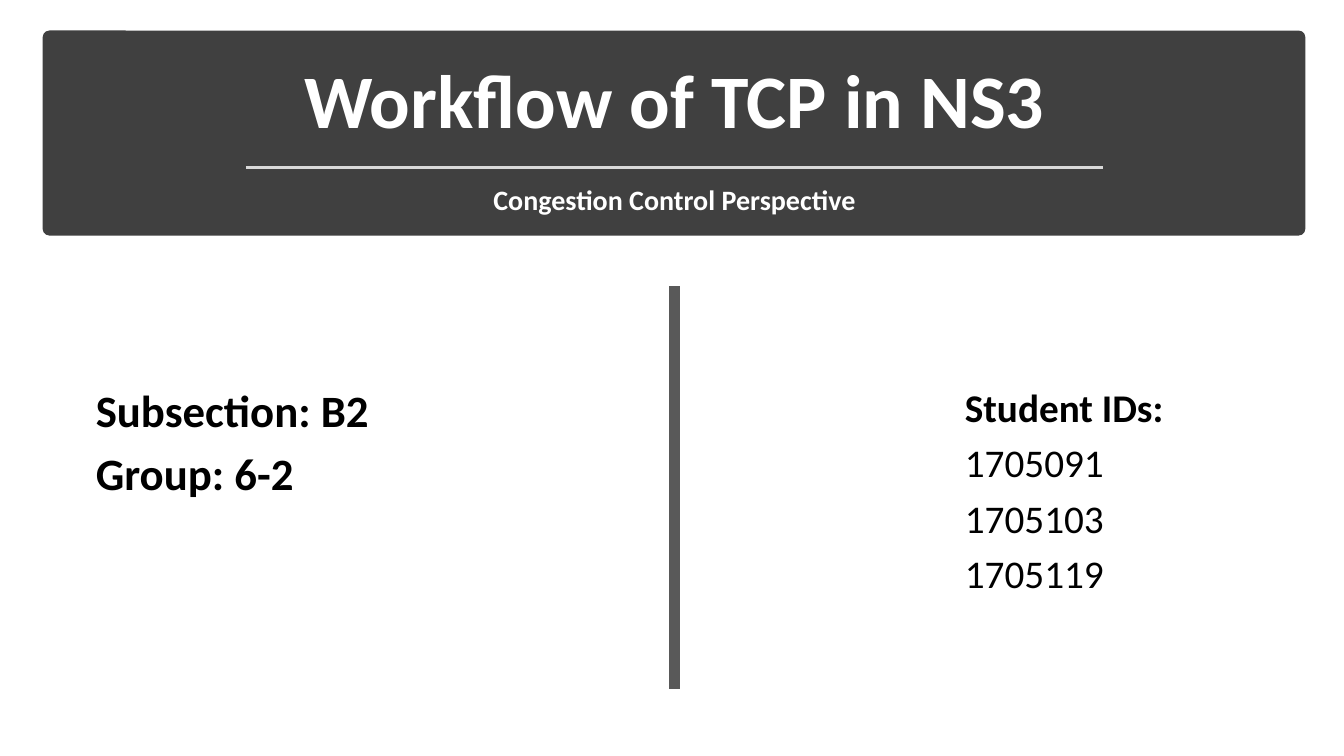
"""Builds the opening slide of a talk on the workflow of TCP in NS3."""
from dataclasses import dataclass

from lxml import etree
from pptx import Presentation
from pptx.dml.color import RGBColor
from pptx.enum.shapes import MSO_CONNECTOR, MSO_SHAPE
from pptx.enum.text import MSO_ANCHOR, MSO_AUTO_SIZE, PP_ALIGN
from pptx.oxml.ns import qn
from pptx.util import Inches, Pt

ROUNDED = MSO_SHAPE.ROUNDED_RECTANGLE
STRAIGHT = MSO_CONNECTOR.STRAIGHT
TOP, BOTTOM = MSO_ANCHOR.TOP, MSO_ANCHOR.BOTTOM
NO_FIT = MSO_AUTO_SIZE.NONE
LEFT, CENTER = PP_ALIGN.LEFT, PP_ALIGN.CENTER
TWO_CONTENT = 3


@dataclass(frozen=True)
class Theme:
    font: str = "Calibri"
    banner: str = "404040"
    rule: str = "D9D9D9"
    divider: str = "595959"
    light: str = "FFFFFF"
    dark: str = "000000"
    title_size: int = 54
    subtitle_size: int = 20
    group_size: int = 32
    student_size: int = 28


def color(code):
    return RGBColor.from_string(code)


class SlideBuilder:
    def __init__(self, page, theme):
        self.page = page
        self.theme = theme

    def place(self, box, left, top, width, height):
        box.left, box.top = Inches(left), Inches(top)
        box.width, box.height = Inches(width), Inches(height)

    def fill_text(self, box, lines, size, ink, bold_lines=1, align=LEFT,
                  anchor=TOP, spacing=1.0, before=0, after=0):
        frame = box.text_frame
        frame.word_wrap = True
        frame.auto_size = NO_FIT
        frame.vertical_anchor = anchor
        for index, line in enumerate(lines):
            para = frame.add_paragraph() if index else frame.paragraphs[0]
            para.alignment = align
            para.line_spacing = spacing
            para.space_before, para.space_after = Pt(before), Pt(after)
            span = para.add_run()
            span.text = line
            span.font.name = self.theme.font
            span.font.size = Pt(size)
            span.font.bold = index < bold_lines
            span.font.color.rgb = color(ink)

    def banner(self, left, top, width, height):
        box = self.page.shapes.add_shape(
            ROUNDED, Inches(left), Inches(top), Inches(width), Inches(height))
        box.adjustments[0] = 0.03
        box.shadow.inherit = False
        box.fill.solid()
        box.fill.fore_color.rgb = color(self.theme.banner)
        box.line.color.rgb = color(self.theme.banner)
        box.line.width = Pt(1)
        self.page.shapes.element.insert(2, box.element)

    def title(self, text, area):
        box = self.page.shapes.title
        self.place(box, *area)
        self.fill_text(box, [text], self.theme.title_size, self.theme.light,
                       align=CENTER, anchor=BOTTOM, spacing=0.9, after=6)

    def subtitle(self, text, area):
        box = self.page.shapes.add_textbox(*map(Inches, area))
        self.fill_text(box, [text], self.theme.subtitle_size, self.theme.light,
                       align=CENTER, spacing=0.9, before=10)

    def plain_list(self, slot, lines, area, size, bold_lines):
        box = self.page.placeholders[slot]
        self.place(box, *area)
        self.fill_text(box, lines, size, self.theme.dark, bold_lines, after=6)
        for properties in box.element.iter(qn("a:pPr")):
            properties.set("marL", "0")
            properties.set("indent", "0")
            etree.SubElement(properties, qn("a:buNone"))

    def line(self, start, end, ink, width):
        rule = self.page.shapes.add_connector(
            STRAIGHT, *map(Inches, start + end))
        rule.line.color.rgb = color(ink)
        rule.line.width = Pt(width)
        etree.SubElement(rule.element.spPr, qn("a:effectLst"))


def main():
    theme = Theme()
    deck = Presentation()
    deck.slide_width, deck.slide_height = Inches(13.33), Inches(7.5)
    page = deck.slides.add_slide(deck.slide_layouts[TWO_CONTENT])
    builder = SlideBuilder(page, theme)

    builder.banner(0.43, 0.31, 12.51, 2.02)
    builder.title("Workflow of TCP in NS3", (0.6, 0.47, 12.18, 1.02))
    builder.subtitle("Congestion Control Perspective", (1.69, 1.8, 10, 0.46))
    builder.line((2.44, 1.66), (10.94, 1.66), theme.rule, 1.75)
    builder.line((6.69, 2.84), (6.69, 6.84), theme.divider, 8)
    builder.plain_list(1, ["Subsection: B2", "Group: 6-2"],
                       (0.85, 3.75, 3, 1.26), theme.group_size, bold_lines=2)
    builder.plain_list(2, ["Student IDs:", "1705091", "1705103", "1705119"],
                       (9.47, 3.75, 3, 2.24), theme.student_size, bold_lines=1)
    deck.save("out.pptx")


if __name__ == "__main__":
    main()
